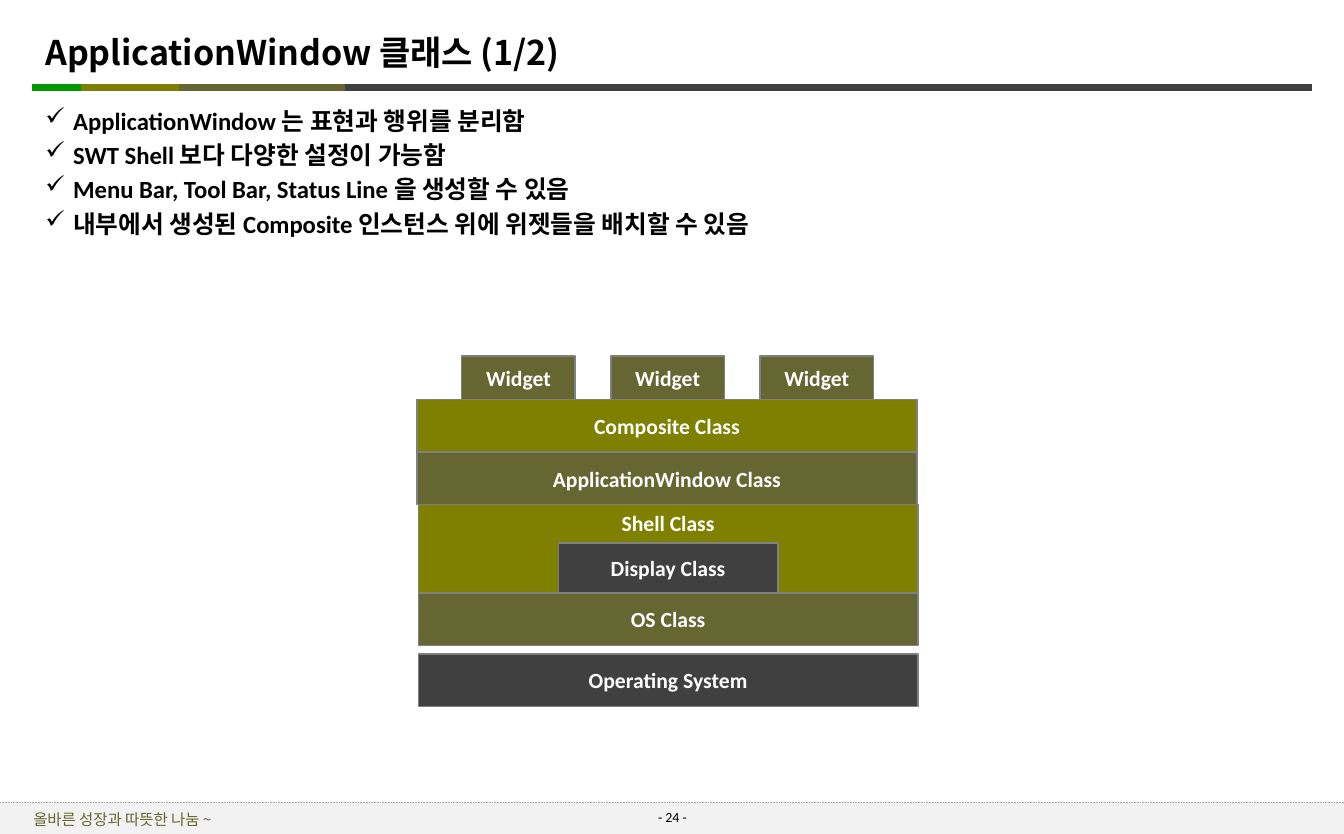
from lxml.etree import SubElement
from pptx import Presentation
from pptx.dml.color import RGBColor
from pptx.enum.dml import MSO_LINE
from pptx.enum.shapes import MSO_CONNECTOR, MSO_SHAPE
from pptx.enum.text import MSO_ANCHOR, PP_ALIGN
from pptx.oxml.ns import qn
from pptx.util import Pt

BLACK, WHITE, DARK, OLIVE, MOSS = "000000", "FFFFFF", "404040", "808000", "666633"
LATIN, KOREAN = "Calibri", "Noto Sans CJK KR"
SLIDE_WIDTH, SLIDE_HEIGHT = 869.76, 540

title = "ApplicationWindow 클래스 (1/2)"
points = [
    "ApplicationWindow 는 표현과 행위를 분리함",
    "SWT Shell 보다 다양한 설정이 가능함",
    "Menu Bar, Tool Bar, Status Line 을 생성할 수 있음",
    "내부에서 생성된 Composite 인스턴스 위에 위젯들을 배치할 수 있음",
]
page_number = "- 24 -"
motto = "올바른 성장과 따뜻한 나눔 ~"
title_rule = [
    (214.5, 849, DARK),
    (21, 78.5, "009900"),
    (52.5, 119.5, OLIVE),
    (116, 223, MOSS),
]
layers = [
    ("Composite Class", OLIVE, 270, 34.1, 0),
    ("ApplicationWindow Class", MOSS, 270, 34.1, 0),
    ("Shell Class", OLIVE, 270.7, 57, 0),
    ("OS Class", MOSS, 270.7, 34.1, 0),
    ("Operating System", DARK, 270.7, 34.1, 5.5),
]
widgets = ["Widget"] * 3

STACK_TOP, STACK_WIDTH = 258.6, 323.3
WIDGET_LEFT, WIDGET_PITCH, WIDGET_WIDTH, WIDGET_HEIGHT = 298.8, 96.5, 73.5, 28.2
DISPLAY_WIDTH, DISPLAY_HEIGHT = 142, 32.4
FOOTER_TOP = 519.5


def color(hex_string):
    return RGBColor.from_string(hex_string)


def set_font(paragraph, size, ink, bold=False, face=LATIN):
    font = paragraph.font
    font.size, font.bold, font.name = Pt(size), bold, face
    font.color.rgb = color(ink)
    if face == KOREAN:
        latin = paragraph._p.pPr.find(qn("a:defRPr")).find(qn("a:latin"))
        latin.addnext(latin.makeelement(qn("a:ea"), {"typeface": face}))


def add_rule(left, right, y, ink, weight):
    rule = slide.shapes.add_connector(
        MSO_CONNECTOR.STRAIGHT, Pt(left), Pt(y), Pt(right), Pt(y))
    rule.line.color.rgb = color(ink)
    rule.line.width = Pt(weight)
    SubElement(rule._element.spPr, qn("a:effectLst"))
    return rule


def add_rectangle(left, top, width, height, fill):
    rectangle = slide.shapes.add_shape(
        MSO_SHAPE.RECTANGLE, Pt(left), Pt(top), Pt(width), Pt(height))
    rectangle.shadow.inherit = False
    rectangle.fill.solid()
    rectangle.fill.fore_color.rgb = color(fill)
    return rectangle


def add_block(label, fill, left, top, width, height, anchor=MSO_ANCHOR.MIDDLE):
    block = add_rectangle(left, top, width, height, fill)
    block.line.color.rgb = color("808080")
    block.line.width = Pt(1)
    frame = block.text_frame
    frame.text, frame.vertical_anchor = label, anchor
    frame.paragraphs[0].alignment = PP_ALIGN.CENTER
    set_font(frame.paragraphs[0], 14, WHITE, bold=True)


def add_text(left, top, width, height, anchor=MSO_ANCHOR.TOP, inset=None):
    frame = slide.shapes.add_textbox(
        Pt(left), Pt(top), Pt(width), Pt(height)).text_frame
    frame.word_wrap, frame.vertical_anchor = True, anchor
    if inset is not None:
        frame.margin_left = frame.margin_right = Pt(inset)
        frame.margin_top = frame.margin_bottom = Pt(inset)
    return frame


def add_check(paragraph):
    properties = paragraph._p.get_or_add_pPr()
    properties.set("marL", str(Pt(18)))
    properties.set("indent", str(-Pt(18)))
    bullet_color = SubElement(properties, qn("a:buClr"))
    SubElement(bullet_color, qn("a:srgbClr"), val=BLACK)
    SubElement(properties, qn("a:buChar"), char="✓")


presentation = Presentation()
presentation.slide_width, presentation.slide_height = Pt(SLIDE_WIDTH), Pt(SLIDE_HEIGHT)
slide = presentation.slides.add_slide(presentation.slide_layouts[6])

for start, end, ink in title_rule:
    add_rule(start, end, 56.7, ink, 5)

footer = add_rectangle(0, FOOTER_TOP, SLIDE_WIDTH, SLIDE_HEIGHT - FOOTER_TOP, "F2F2F2")
footer.line.fill.background()
add_rule(0, SLIDE_WIDTH, FOOTER_TOP, "A6A6A6", 0.5).line.dash_style = MSO_LINE.ROUND_DOT

page_frame = add_text(369.3, 519.8, 131.8, 18.7)
page_frame.text = page_number
page_frame.paragraphs[0].alignment = PP_ALIGN.CENTER
set_font(page_frame.paragraphs[0], 9, BLACK)

motto_frame = add_text(0, 521.3, 158.4, 18.7, MSO_ANCHOR.MIDDLE)
motto_frame.text = motto
motto_frame.paragraphs[0].alignment = PP_ALIGN.CENTER
set_font(motto_frame.paragraphs[0], 10, MOSS, face=KOREAN)

title_frame = add_text(26.5, 10.8, 720, 45.4, MSO_ANCHOR.MIDDLE, 2.9)
title_frame.text = title
set_font(title_frame.paragraphs[0], 22, BLACK, bold=True, face=KOREAN)

points_frame = add_text(26.5, 65.5, 828, 95, inset=2.9)
points_frame.text = "\n".join(points)
for index, point in enumerate(points_frame.paragraphs):
    if index:
        point.space_before = Pt(3)
    add_check(point)
    set_font(point, 16, BLACK, bold=True)

for index, widget in enumerate(widgets):
    add_block(widget, MOSS, WIDGET_LEFT + index * WIDGET_PITCH,
              STACK_TOP - WIDGET_HEIGHT, WIDGET_WIDTH, WIDGET_HEIGHT)

top = STACK_TOP
for label, fill, left, height, gap in layers:
    top += gap
    holds_display = label == "Shell Class"
    anchor = MSO_ANCHOR.TOP if holds_display else MSO_ANCHOR.MIDDLE
    add_block(label, fill, left, top, STACK_WIDTH, height, anchor)
    top += height
    if holds_display:
        add_block("Display Class", DARK, left + (STACK_WIDTH - DISPLAY_WIDTH) / 2,
                  top - DISPLAY_HEIGHT, DISPLAY_WIDTH, DISPLAY_HEIGHT)

presentation.save("out.pptx")
